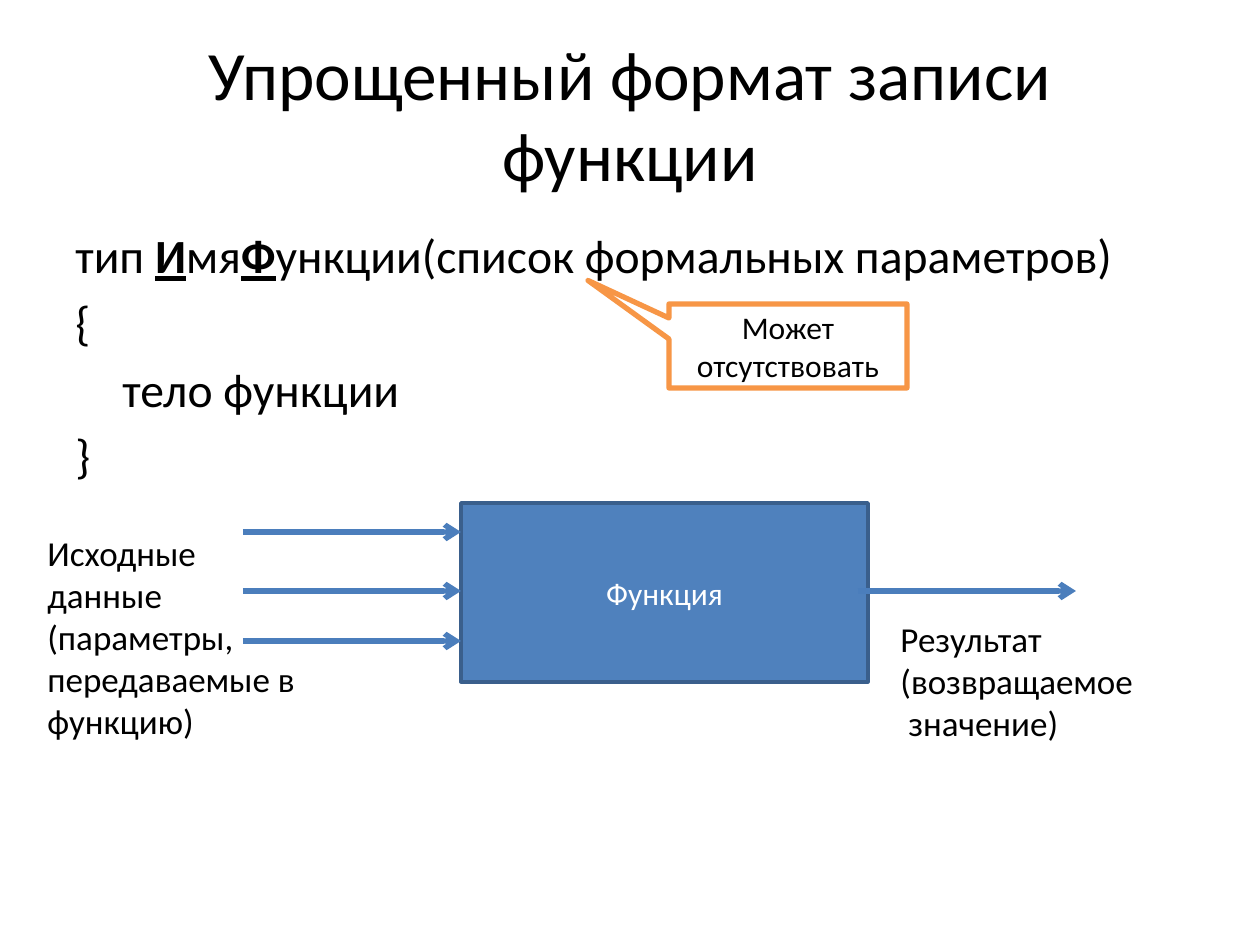
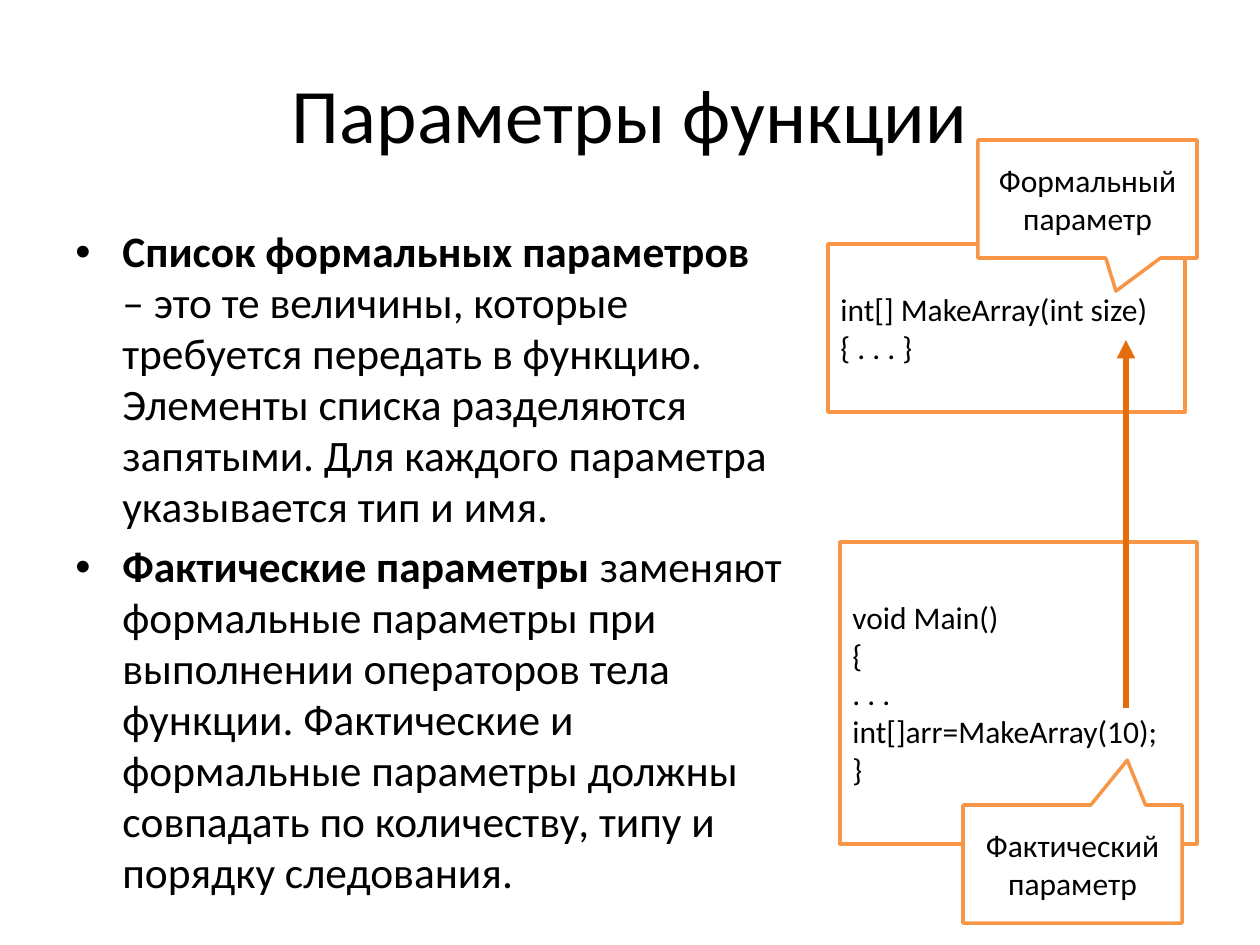
from typing import NamedTuple

from lxml import etree
from pptx import Presentation
from pptx import util as u
from pptx.dml.color import RGBColor
from pptx.enum import shapes, text
from pptx.oxml import ns

PX_PER_INCH = 126
FONT = "Calibri"
BLACK = RGBColor(0x00, 0x00, 0x00)
WHITE = RGBColor(0xFF, 0xFF, 0xFF)
BLUE = RGBColor(0x4F, 0x81, 0xBD)
BLUE_EDGE = RGBColor(0x3A, 0x5F, 0x8C)
BLUE_ARROW = RGBColor(0x4B, 0x7E, 0xBC)
ORANGE = RGBColor(0xF7, 0x96, 0x46)
DARK_ORANGE = RGBColor(0xE4, 0x6C, 0x0A)
LEFT, CENTER = text.PP_ALIGN.LEFT, text.PP_ALIGN.CENTER
TOP, MIDDLE = text.MSO_ANCHOR.TOP, text.MSO_ANCHOR.MIDDLE
RECT = shapes.MSO_SHAPE.RECTANGLE
CALLOUT = shapes.MSO_SHAPE.RECTANGULAR_CALLOUT
HANGING_INDENT = 47
BOLD = {"bold": True}
MARKED = {"bold": True, "underline": True}


class Box(NamedTuple):
    left: int
    top: int
    width: int
    height: int

    def inside(self, left, top, width, height):
        return Box(self.left + left, self.top + top, width, height)


TITLE_BOX = Box(63, 38, 1134, 157)


def emu(px):
    return u.Emu(round(px * 914400 / PX_PER_INCH))


def set_all(target, values):
    for name, value in values.items():
        setattr(target, name, value)


def write(frame, paragraphs, size, color=BLACK, align=LEFT, anchor=TOP, spacing=None):
    """Fill a frame; a paragraph is a string or a list of (string, font values)."""
    set_all(frame, {"word_wrap": True, "vertical_anchor": anchor})
    for index, content in enumerate(paragraphs):
        paragraph = frame.add_paragraph() if index else frame.paragraphs[0]
        set_all(paragraph, {"alignment": align, "line_spacing": spacing})
        runs = [(content, {})] if isinstance(content, str) else content
        for wording, emphasis in runs:
            for part_index, part in enumerate(wording.split("\v")):
                if part_index:
                    paragraph.add_line_break()
                run = paragraph.add_run()
                run.text = part
                set_all(run.font, {"name": FONT, "size": u.Pt(size), **emphasis})
                run.font.color.rgb = color


def add_text(slide, box, paragraphs, size, **layout):
    label = slide.shapes.add_textbox(*map(emu, box))
    write(label.text_frame, paragraphs, size, **layout)
    return label.text_frame


def add_title(slide, wording, size):
    add_text(slide, TITLE_BOX, [wording], size, align=CENTER, anchor=MIDDLE, spacing=0.98)


def add_body(slide, box, paragraphs, size, bullet=None, spacing=None):
    """Body text with a hanging indent and a gap of a fifth of the text size."""
    frame = add_text(slide, box, paragraphs, size, spacing=spacing)
    for paragraph in frame.paragraphs:
        paragraph.space_before = u.Pt(round(size / 5, 1))
        properties = paragraph._p.get_or_add_pPr()
        properties.set("marL", str(emu(HANGING_INDENT)))
        properties.set("indent", str(-emu(HANGING_INDENT)))
        if bullet:
            etree.SubElement(properties, ns.qn("a:buFont"), typeface="Arial")
            etree.SubElement(properties, ns.qn("a:buChar"), char=bullet)


def add_block(slide, box, paragraphs, kind=RECT, fill=WHITE, edge=ORANGE,
              edge_width=2, color=BLACK, align=LEFT):
    block = slide.shapes.add_shape(kind, *map(emu, box))
    block.shadow.inherit = False
    block.fill.solid()
    block.fill.fore_color.rgb = fill
    block.line.color.rgb = edge
    block.line.width = u.Pt(edge_width)
    write(block.text_frame, paragraphs, 18, color, align, MIDDLE)
    return block


def add_callout(slide, box, wording, tip, edge_width=2):
    """The tip is given as shares of the box, measured from its centre."""
    callout = add_block(slide, box, [wording], CALLOUT, edge_width=edge_width, align=CENTER)
    for index, share in enumerate(tip):
        callout.adjustments[index] = share


def add_arrow(slide, start, end, color, width, head):
    arrow = slide.shapes.add_connector(
        shapes.MSO_CONNECTOR.STRAIGHT, *map(emu, (*start, *end)))
    arrow.line.color.rgb = color
    arrow.line.width = u.Pt(width)
    etree.SubElement(arrow.line._get_or_add_ln(), ns.qn("a:tailEnd"), type=head)
    etree.SubElement(arrow._element.spPr, ns.qn("a:effectLst"))


def add_function_scheme(slide, box):
    function = box.inside(426, 0, 407, 179)
    add_block(slide, function, ["Функция"], fill=BLUE, edge=BLUE_EDGE,
              color=WHITE, align=CENTER)
    arrow_length = 218
    input_end = function.left
    output_start = function.left + function.width - 10
    middle = 88
    arrows = [(input_end - arrow_length, drop) for drop in (middle, 138, 29)]
    for left, drop in arrows + [(output_start, middle)]:
        level = box.top + drop
        add_arrow(slide, (left, level), (left + arrow_length, level), BLUE_ARROW, 3, "arrow")
    add_text(slide, box.inside(0, 22, 277, 224),
             ["Исходные  данные (параметры, передаваемые в функцию)"], 20)
    add_text(slide, box.inside(853, 108, 268, 140),
             ["Результат (возвращаемое\v значение)"], 20)


def add_call_example(slide, box):
    """Declaration above, call below, and an arrow from argument to parameter."""
    add_block(slide, box.inside(0, 104, 357, 168),
              ["int[] MakeArray(int size)", "{ . . . }"])
    add_block(slide, box.inside(12, 402, 357, 302),
              ["void Main()", "{", ". . .", "int[]arr=MakeArray(10);", "}"])
    arrow_x = box.left + 298
    add_arrow(slide, (arrow_x, box.top + 568), (arrow_x, box.top + 200),
              DARK_ORANGE, 3.5, "triangle")
    for left, top, wording, tip in (
        (135, 665, "Фактический параметр", (0.25, -0.88)),
        (150, 0, "Формальный параметр", (0.13, 0.78)),
    ):
        add_callout(slide, box.inside(left, top, 219, 118), wording, tip)


def build_format_slide(slide):
    add_title(slide, "Упрощенный формат записи функции", 39.6)
    signature = [("тип ", {}), ("И", MARKED), ("мя", {}), ("Ф", MARKED),
                 ("ункции(список формальных параметров)", {})]
    add_body(slide, Box(63, 220, 1134, 252),
             [signature, "{", "\tтело функции", "}"], 27.2)
    add_function_scheme(slide, Box(35, 503, 1121, 248))
    add_callout(slide, Box(669, 304, 238, 84), "Может отсутствовать",
                (-0.84, -0.78), edge_width=3)


def build_parameters_slide(slide):
    add_title(slide, "Параметры функции", 44)
    formal = [
        ("Список формальных параметров", BOLD),
        ("  – это те величины, которые требуется передать в функцию. Элементы списка "
         "разделяются запятыми. Для каждого параметра указывается тип и имя.", {}),
    ]
    actual = [
        ("Фактические параметры", BOLD),
        (" заменяют формальные параметры при выполнении операторов тела функции. "
         "Фактические и формальные параметры должны совпадать по количеству, типу и "
         "порядку следования.", {}),
    ]
    add_body(slide, Box(63, 220, 736, 624), [formal, actual], 24.8,
             bullet="•", spacing=0.98)
    add_call_example(slide, Box(828, 140, 369, 783))


def main():
    deck = Presentation()
    deck.slide_width, deck.slide_height = u.Inches(10), u.Inches(7.5)
    blank = deck.slide_layouts[6]
    for build in (build_format_slide, build_parameters_slide):
        build(deck.slides.add_slide(blank))
    deck.save("out.pptx")


if __name__ == "__main__":
    main()
